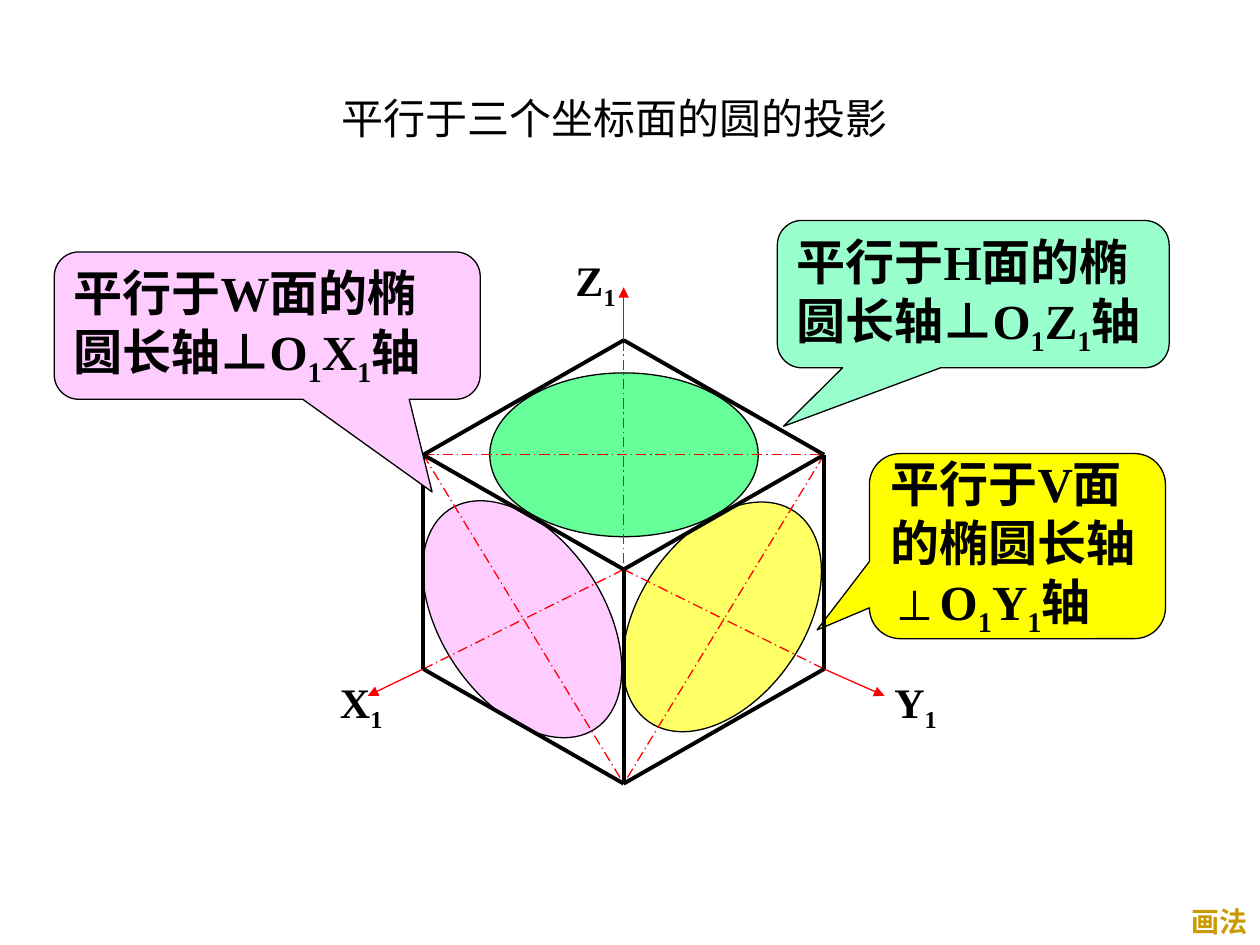
from itertools import groupby

from lxml import etree
from pptx import Presentation
from pptx import util as u
from pptx.dml import color
from pptx.enum import dml, shapes, text
from pptx.oxml import ns

RED, BLACK = "FF0000", "000000"
PINK, FONT = "FFCCFF", "Times New Roman"


def tint(code):
    return color.RGBColor.from_string(code)


class Page:
    """Draws styled elements, measured in points, on one blank slide."""

    def __init__(self, deck):
        self.slide = deck.slides.add_slide(deck.slide_layouts[6])
        self.items = self.slide.shapes

    def words(self, frame, rows, size, bold=True, ink=BLACK,
              align=text.PP_ALIGN.LEFT, wrap=False):
        frame.word_wrap = wrap
        for i, row in enumerate(rows):
            para = frame.add_paragraph() if i else frame.paragraphs[0]
            para.alignment = align
            for low, part in groupby(row, str.isdigit):
                run = para.add_run()
                run.text = "".join(part)
                font = run.font
                font.name, font.size, font.bold = FONT, u.Pt(size), bold
                font.color.rgb = tint(ink)
                if low:
                    run._r.get_or_add_rPr().set("baseline", "-25000")

    def label(self, box, row, size=24, anchor=text.MSO_ANCHOR.TOP, **style):
        frame = self.items.add_textbox(*map(u.Pt, box)).text_frame
        frame.vertical_anchor = anchor
        self.words(frame, [row], size, **style)

    def shape(self, kind, box, fill, turn=0):
        item = self.items.add_shape(kind, *map(u.Pt, box))
        item.shadow.inherit = False
        item.rotation = turn
        item.fill.solid()
        item.fill.fore_color.rgb = tint(fill)
        item.line.color.rgb = tint(BLACK)
        item.line.width = u.Pt(0.75)
        return item

    def oval(self, box, fill, turn=0):
        self.shape(shapes.MSO_SHAPE.OVAL, box, fill, turn)

    def bubble(self, box, fill, tip, rows):
        item = self.shape(shapes.MSO_SHAPE.ROUNDED_RECTANGULAR_CALLOUT, box, fill)
        for i, part in enumerate((*tip, 0.167)):
            item.adjustments[i] = part
        item.text_frame.vertical_anchor = text.MSO_ANCHOR.MIDDLE
        self.words(item.text_frame, rows, 28)

    def line(self, start, end, ink=BLACK, width=2.25, dash=None, arrow=False):
        item = self.items.add_connector(
            shapes.MSO_CONNECTOR.STRAIGHT, *map(u.Pt, (*start, *end)))
        item.line.color.rgb = tint(ink)
        item.line.width = u.Pt(width)
        if dash:
            item.line.dash_style = dash
        props = item._element.spPr
        if arrow:
            tail = etree.SubElement(props.get_or_add_ln(), ns.qn("a:tailEnd"))
            tail.set("type", "triangle")
        etree.SubElement(props, ns.qn("a:effectLst"))


def main():
    deck = Presentation()
    deck.slide_width, deck.slide_height = u.Pt(720), u.Pt(540)
    page = Page(deck)

    mid, half, rise, high = 356.4, 114.5, 65.5, 122.4
    west, east = mid - half, mid + half
    top, side = 194.4, 194.4 + rise
    core, foot = side + rise, side + high
    peak, hub, base = (mid, top), (mid, core), (mid, core + high)
    left, right = (west, side), (east, side)
    lower, outer = (west, foot), (east, foot)

    page.label((56.2, 45.4, 589.7, 43.2), "平行于三个坐标面的圆的投影",
               anchor=text.MSO_ANCHOR.MIDDLE, bold=False,
               align=text.PP_ALIGN.CENTER, wrap=True)

    page.oval((279.9, 213.1, 153.4, 93.6), "66FF99")
    page.oval((252, 278.6, 92.9, 150.5), PINK, 326.3)
    page.oval((365.8, 279.4, 93.6, 146.2), "FFFF66", 35)
    for start, end in ((left, right), (left, base), (lower, hub),
                       (right, base), (hub, outer), (peak, hub)):
        page.line(start, end, RED, 0.75, dml.MSO_LINE.LONG_DASH_DOT)

    page.bubble((444.2, 126, 223.9, 84.2), "99FFCC", (-0.484, 0.897),
                ["平行于H面的椭", "圆长轴⊥O1Z1轴"])
    page.bubble((496.8, 259.2, 169.2, 105.8), "FFFF00", (-0.677, 0.453),
                ["平行于V面", "的椭圆长轴", "⊥O1Y1轴"])

    for start, end in ((peak, (mid, 164.2)), (lower, (210.2, 397.6)),
                       (outer, (505.4, 397.6))):
        page.line(start, end, RED, 0.75, arrow=True)
    for start, end in ((hub, base), (peak, right), (right, outer), (peak, left),
                       (left, hub), (hub, right), (base, outer), (lower, base),
                       (left, lower)):
        page.line(start, end)

    for x, y, name in ((187.2, 383, "X1"), (504, 383, "Y1"), (321.8, 141.8, "Z1")):
        page.label((x, y, 38.9, 40.3), name)

    page.bubble((31, 144, 243.4, 84.2), PINK, (0.387, 1.129),
                ["平行于W面的椭", "圆长轴⊥O1X1轴"])
    page.label((673.9, 513.4, 46.1, 26.6), "画法", 16, ink="CC9900")

    deck.save("out.pptx")


if __name__ == "__main__":
    main()
